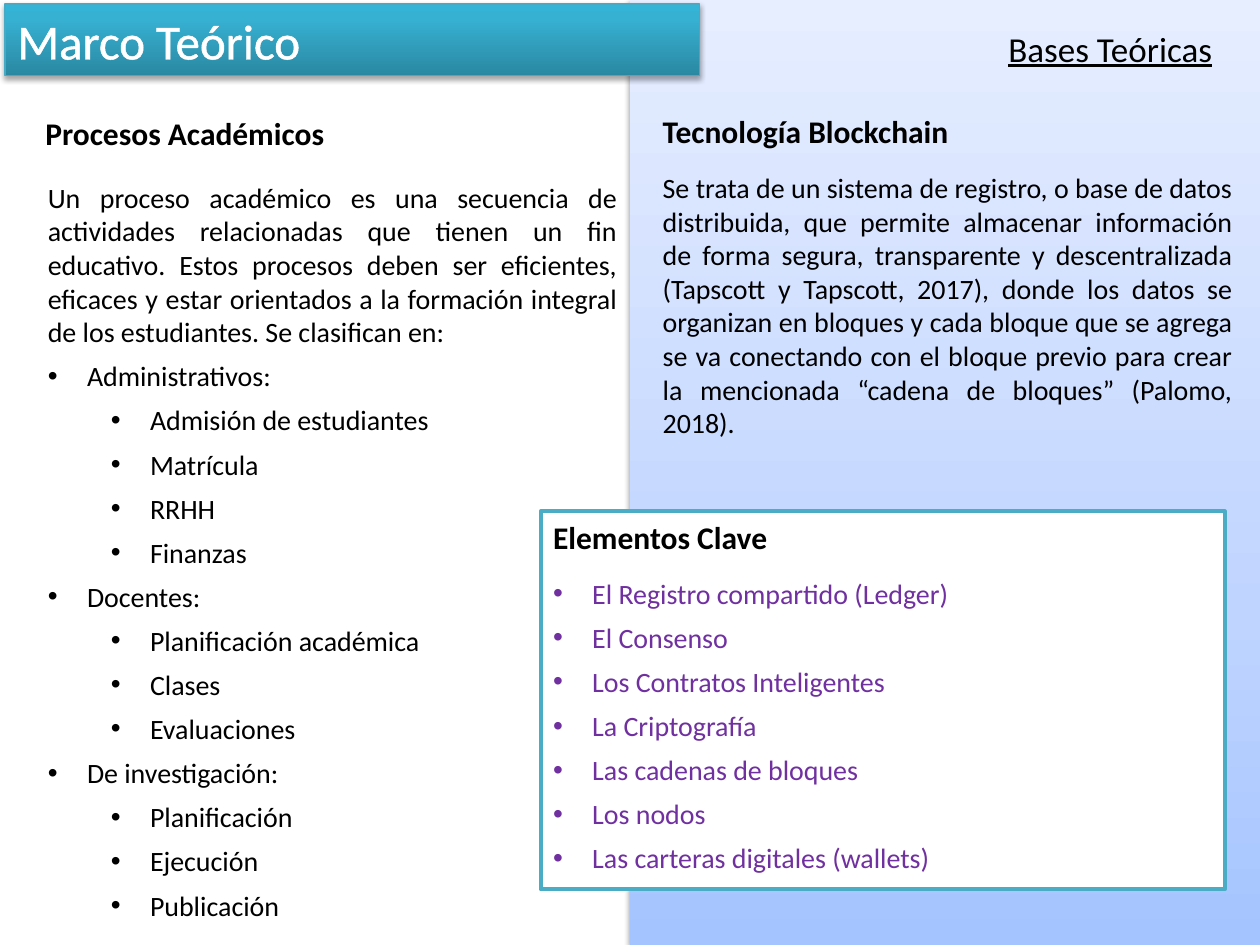
import pptx
import pptx.util
import pptx.dml.color
import pptx.enum.shapes
import pptx.enum.text
import pptx.oxml
import pptx.oxml.ns

Cm = pptx.util.Cm
Pt = pptx.util.Pt
Align = pptx.enum.text.PP_ALIGN
Anchor = pptx.enum.text.MSO_ANCHOR
NS = pptx.oxml.ns.nsdecls("a")
HUES = {
    "ink": "000000", "white": "FFFFFF", "violet": "7030A0",
    "teal": "4BACC6", "edge": "46AAC5",
}
SKY = [(0, "A4C4FF"), (35, "BFD4FF"), (100, "E6EEFF")]
SEA = [(0, "2A88A2"), (80, "37B1D2"), (100, "34B4D6")]
PROCESS = ("Un proceso académico es una secuencia de actividades relacionadas que tienen un "
           "fin educativo. Estos procesos deben ser eficientes, eficaces y estar orientados a "
           "la formación integral de los estudiantes. Se clasifican en:")
GROUPS = {
    "Administrativos:": ["Admisión de estudiantes", "Matrícula", "RRHH", "Finanzas"],
    "Docentes:": ["Planificación académica", "Clases", "Evaluaciones"],
    "De investigación:": ["Planificación", "Ejecución", "Publicación"],
}
CHAIN = ("Se trata de un sistema de registro, o base de datos distribuida, que permite "
         "almacenar información de forma segura, transparente y descentralizada (Tapscott y "
         "Tapscott, 2017), donde los datos se organizan en bloques y cada bloque que se agrega "
         "se va conectando con el bloque previo para crear la mencionada “cadena de bloques” "
         "(Palomo, 2018).")
KEYS = ["El Registro compartido (Ledger)", "El Consenso", "Los Contratos Inteligentes",
        "La Criptografía", "Las cadenas de bloques", "Los nodos",
        "Las carteras digitales (wallets)"]


def color(name):
    return pptx.dml.color.RGBColor.from_string(HUES[name])


def place(shape, box):
    shape.left, shape.top, shape.width, shape.height = map(Cm, box)
    return shape


def frame(shape, anchor=Anchor.TOP):
    text = shape.text_frame
    text.word_wrap = True
    text.auto_size = pptx.enum.text.MSO_AUTO_SIZE.NONE
    text.vertical_anchor = anchor
    return text


def label(slide, box, anchor=Anchor.TOP):
    return frame(slide.shapes.add_textbox(*map(Cm, box)), anchor)


def block(slide, box):
    kind = pptx.enum.shapes.MSO_SHAPE.RECTANGLE
    shape = slide.shapes.add_shape(kind, *map(Cm, box))
    shape.shadow.inherit = False
    return shape


def write(text, words, size=16, hue="ink", bold=False, after=6, align=Align.JUSTIFY, level=None):
    par = text.paragraphs[0]
    if par.runs:
        par = text.add_paragraph()
    par.add_run().text = words
    par.alignment = align
    par.space_before, par.space_after = Pt(0), Pt(after)
    props = par._p.get_or_add_pPr()
    if level is None:
        props.set("marL", "0")
        props.set("indent", "0")
        marks = ["<a:buNone %s/>"]
    else:
        par.level = level
        props.set("marL", str(Cm(0.79 + 1.27 * level)))
        props.set("indent", str(Cm(-0.79)))
        marks = ['<a:buFont %s typeface="Arial"/>', '<a:buChar %s char="•"/>']
    for mark in marks:
        props.append(pptx.oxml.parse_xml(mark % NS))
    font = par.font
    font.name, font.size, font.bold = "Calibri", Pt(size), bold
    font.color.rgb = color(hue)
    return par


def blend(shape, stops):
    shape.fill.gradient()
    shape.fill.gradient_angle = 90
    steps = shape._element.spPr.find(".//" + pptx.oxml.ns.qn("a:gsLst"))
    for old in list(steps):
        steps.remove(old)
    for spot, tone in stops:
        steps.append(pptx.oxml.parse_xml(
            f'<a:gs {NS} pos="{spot * 1000}"><a:srgbClr val="{tone}"/></a:gs>'))


def shade(shape, alpha, gap):
    effects = shape._element.spPr.find(pptx.oxml.ns.qn("a:effectLst"))
    effects.append(pptx.oxml.parse_xml(
        f'<a:outerShdw {NS} blurRad="{Pt(3.1)}" dist="{Pt(gap)}" dir="5400000" '
        f'rotWithShape="0"><a:srgbClr val="{HUES["ink"]}">'
        f'<a:alpha val="{alpha * 1000}"/></a:srgbClr></a:outerShdw>'))


def panel(slide, box):
    shape = block(slide, box)
    blend(shape, SKY)
    shape.line.fill.background()
    shade(shape, 38, 1.6)
    slide.shapes._spTree.insert(2, shape._element)


def process(slide, box):
    x, y, w, h = box
    title = place(slide.shapes.title, (x + 0.66, y + 2.16, 9.22, 1.02))
    write(frame(title, Anchor.MIDDLE), "Procesos Académicos", 18, bold=True, after=0,
          align=Align.LEFT)
    body = place(slide.placeholders[1], (x + 0.71, y + 3.51, w - 0.71, h - 3.51))
    text = frame(body)
    write(text, PROCESS)
    for group, items in GROUPS.items():
        write(text, group, level=0)
        for item in items:
            write(text, item, level=1)


def theory(slide, box):
    x, y, w, h = box
    text = label(slide, (x + 4.8, y + 0.41, 7.19, 1.12), Anchor.MIDDLE)
    par = write(text, "Bases Teóricas", 20, after=0, align=Align.RIGHT)
    par.font.underline = True
    text = label(slide, (x + 0.41, y + 2.13, w - 0.71, 7.01))
    write(text, "Tecnología Blockchain", 18, bold=True, after=12)
    write(text, CHAIN)


def header(slide, box):
    bar = block(slide, box)
    blend(bar, SEA)
    bar.line.color.rgb = color("edge")
    bar.line.width = Pt(0.75)
    shade(bar, 35, 1.8)
    par = write(frame(bar, Anchor.MIDDLE), "Marco Teórico", 28, "white", after=0,
                align=Align.LEFT)
    par.runs[0]._r.get_or_add_rPr().insert(0, pptx.oxml.parse_xml(
        f'<a:ln {NS} w="{Pt(1.45)}"><a:solidFill>'
        f'<a:srgbClr val="{HUES["white"]}"/></a:solidFill></a:ln>'))


def card(slide, box):
    shape = block(slide, box)
    shape.fill.solid()
    shape.fill.fore_color.rgb = color("white")
    shape.line.color.rgb = color("teal")
    shape.line.width = Pt(2.25)
    text = frame(shape)
    write(text, "Elementos Clave", 18, bold=True, after=12)
    for key in KEYS:
        write(text, key, hue="violet", level=0)


def main():
    deck = pptx.Presentation()
    wide, high = 25.4, 19.05
    half = wide / 2
    deck.slide_width, deck.slide_height = Cm(wide), Cm(high)
    slide = deck.slides.add_slide(deck.slide_layouts[1])
    right = (half, 0, half, high)
    panel(slide, right)
    process(slide, (0, 0, half, high))
    theory(slide, right)
    header(slide, (0.1, 0.08, 14, 1.45))
    card(slide, (10.9, 10.31, 13.79, 7.62))
    deck.save("out.pptx")


if __name__ == "__main__":
    main()
